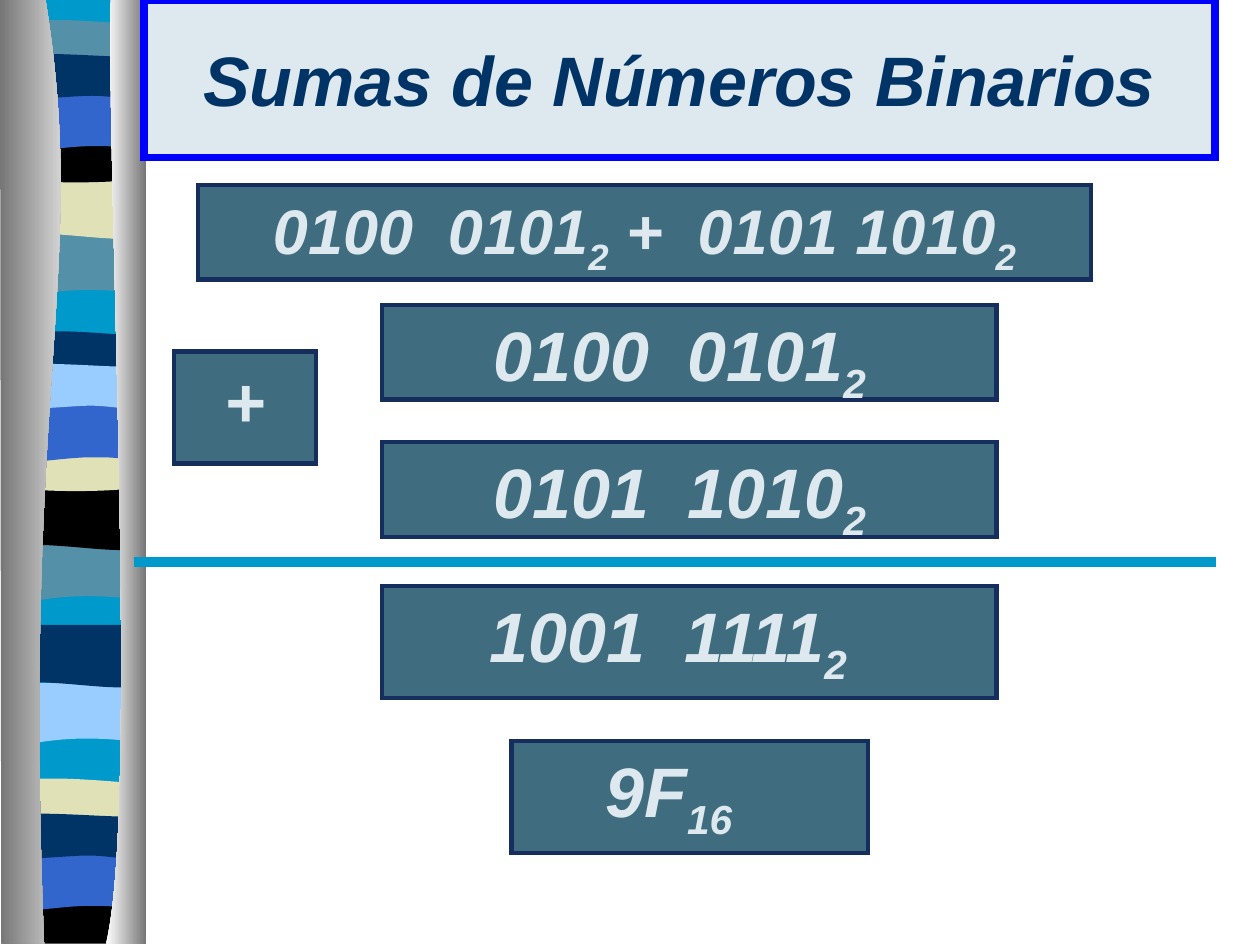
"""Build a slide that adds two binary numbers beside a striped ribbon."""
import pptx
import pptx.dml.color
import pptx.enum.shapes
import pptx.enum.text
import pptx.oxml.ns
import pptx.util
from lxml import etree

Inches = pptx.util.Inches
Pt = pptx.util.Pt
RGB = pptx.dml.color.RGBColor.from_string
qn = pptx.oxml.ns.qn

COLORS = {
    "sky": "0099CC", "teal": "5490A8", "sand": "E1E1B7", "black": "000000",
    "blue": "3366CC", "navy": "003366", "pale": "99CCFF", "white": "FFFFFF",
    "gray": "767676", "ice": "DDE9EE", "frame": "0000FF",
    "slate": "3F6C7E", "edge": "162E5D",
}


def write(shape, parts, size=40, color="ice", before=0, hanging=0):
    """Fill a shape with centred text; every second part is a subscript."""
    para = shape.text_frame.paragraphs[0]
    para.alignment = pptx.enum.text.PP_ALIGN.CENTER
    para.space_before = Pt(before)
    properties = para._p.get_or_add_pPr()
    properties.set("marL", str(Inches(hanging)))
    properties.set("indent", str(-Inches(hanging)))
    for index, text in enumerate(parts):
        span = para.add_run()
        span.text = text
        span.font.name = "Arial"
        span.font.size = Pt(size)
        span.font.bold = span.font.italic = True
        span.font.color.rgb = RGB(COLORS[color])
        if index % 2:
            span.font._element.set("baseline", "-25000")


def draw_outline(shapes, left, top, segments):
    """Draw a closed outline; pairs are corners and sixes are cubic curves."""
    corners = [(Inches(left + segment[i]), Inches(top + segment[i + 1]))
               for segment in segments for i in range(0, len(segment), 2)]
    builder = shapes.build_freeform(*corners[0], scale=1.0)
    builder.add_line_segments(corners[1:], close=True)
    outline = builder.convert_to_shape()
    steps = iter(list(outline.element.iter(qn("a:lnTo"))))
    for segment in segments[1:]:
        step = next(steps)
        if len(segment) == 6:
            step.addprevious(curve := etree.Element(qn("a:cubicBezTo")))
            for point in (step, next(steps), next(steps)):
                curve.append(point[0])
                point.getparent().remove(point)
    outline.shadow.inherit = False
    outline.line.fill.background()
    return outline


deck = pptx.Presentation()
deck.slide_width, deck.slide_height = Inches(10), Inches(7.5)
page = deck.slides.add_slide(deck.slide_layouts[5])
page.background.fill.solid()
page.background.fill.fore_color.rgb = RGB(COLORS["white"])

OUTLINES = {
    "panel": [(1.06, 0), (1.06, 7.48), (0, 7.48), (0, 0)],
    "swoosh": [(1.06, 0), (1.06, 0.47), (0.33, 0.38, 0.18, 0.54, 0, 0.47), (0, 0)],
    "block": [(1.06, 0), (1.06, 0.47), (0.89, 0.55, 0.33, 0.41, 0, 0.47), (0, 0)],
    "lens": [(1.06, 0.05), (1.06, 0.3), (0.89, 0.34, 0.18, 0.34, 0, 0.3), (0, 0.05),
             (0.07, 0, 0.24, 0.01, 0.41, 0.01), (0.59, 0.01, 0.93, 0.04, 1.06, 0.05)],
    "sag": [(1.06, 0), (1.06, 0.33), (0.89, 0.38, 0.18, 0.38, 0, 0.33), (0, 0),
            (0.66, 0.05, 0.84, 0, 1.06, 0)],
    "arch": [(1.06, 0), (1.06, 0.47), (0.89, 0.42, 0.83, 0.42, 0.65, 0.42),
             (0.47, 0.42, 0.16, 0.47, 0, 0.47), (0, 0)],
    "wave": [(1.06, 0.05), (1.06, 0.36), (0.99, 0.41, 0.83, 0.36, 0.65, 0.36),
             (0.47, 0.36, 0.11, 0.41, 0, 0.36), (0, 0.05),
             (0.15, 0, 0.72, 0.05, 0.9, 0.05), (1.07, 0.05, 1.02, 0.05, 1.06, 0.05)],
    "foot": [(1.06, 0), (1.06, 0.37), (0, 0.37), (0, 0), (0.66, 0.05, 0.84, 0, 1.06, 0)],
}
STRIPES = [
    ("panel", 0.08, -0.01, "sky"),
    ("swoosh", 0.07, 1.86, "teal"), ("block", 0.08, 1.4, "sand"),
    ("lens", 0.08, 0.15, "teal"), ("sag", 0.07, 1.08, "black"),
    ("arch", 0.08, 0.74, "blue"), ("wave", 0.08, 0.4, "navy"),
    ("swoosh", 0.06, 4.29, "teal"), ("block", 0.07, 3.87, "black"),
    ("lens", 0.07, 2.62, "navy"), ("sag", 0.07, 3.53, "sand"),
    ("arch", 0.07, 3.21, "blue"), ("wave", 0.07, 2.86, "pale"),
    ("swoosh", 0.05, 5.42, "pale"), ("block", 0.06, 4.96, "navy"),
    ("lens", 0.06, 6.17, "sand"), ("foot", 0.06, 7.12, "black"),
    ("arch", 0.05, 6.77, "blue"), ("wave", 0.05, 6.43, "navy"),
]
ribbon = page.shapes.add_group_shape()
for name, left, top, color in STRIPES:
    stripe = draw_outline(ribbon.shapes, left, top, OUTLINES[name])
    stripe.fill.solid()
    stripe.fill.fore_color.rgb = RGB(COLORS[color])

DRAPES = [
    ([(0.36, -0.01), (0.71, 2.16, 0.17, 2.96, 0.35, 7.49), (0.01, 7.49), (0, -0.01)],
     ("gray", "white")),
    ([(0.88, -0.01), (0.84, 1.25, 1.11, 6.46, 0.84, 7.49), (1.16, 7.49), (1.16, 0)],
     ("white", "gray")),
]
for segments, shades in DRAPES:
    drape = draw_outline(ribbon.shapes, 0, 0, segments)
    drape.fill.gradient()
    drape.fill.gradient_angle = 0
    for stop, shade in zip(drape.fill.gradient_stops, shades):
        stop.color.rgb = RGB(COLORS[shade])

title = page.shapes.title
page.shapes.element.append(title.element)
title.left, title.top, title.width, title.height = map(Inches, (1.14, 0, 8.5, 1.25))
title.text_frame.vertical_anchor = pptx.enum.text.MSO_ANCHOR.MIDDLE
write(title, ["Sumas de Números Binarios"], color="navy")
panels = [(title, "ice", "frame", 4.5)]

BOXES = [
    (1.57, 1.47, 7.09, 0.75, 0.1, 36, ["0100  0101", "2", " +  0101 1010", "2"]),
    (3.03, 2.42, 4.88, 0.75, 0.25, 40, ["0100  0101", "2"]),
    (4.06, 5.88, 2.83, 0.89, 0.43, 40, ["9F", "16"]),
    (3.03, 3.51, 4.88, 0.75, 0.25, 40, ["0101  1010", "2"]),
    (3.03, 4.65, 4.88, 0.89, 0.43, 40, ["1001  1111", "2"]),
    (1.38, 2.79, 1.13, 0.89, 0.1, 40, ["+"]),
]
for left, top, width, height, right_margin, size, parts in BOXES:
    box = page.shapes.add_shape(pptx.enum.shapes.MSO_SHAPE.RECTANGLE,
                                *map(Inches, (left, top, width, height)))
    box.shadow.inherit = False
    box.text_frame.word_wrap = True
    box.text_frame.vertical_anchor = pptx.enum.text.MSO_ANCHOR.TOP
    box.text_frame.margin_right = Inches(right_margin)
    write(box, parts, size=size, before=size / 4, hanging=0.38)
    panels.append((box, "slate", "edge", 2.5))

for panel, fill, border, weight in panels:
    panel.fill.solid()
    panel.fill.fore_color.rgb = RGB(COLORS[fill])
    panel.line.color.rgb = RGB(COLORS[border])
    panel.line.width = Pt(weight)
    outline = panel.element.spPr.find(qn("a:ln"))
    etree.SubElement(outline, qn("a:miter"), lim="800000")

sum_line = page.shapes.add_connector(pptx.enum.shapes.MSO_CONNECTOR.STRAIGHT,
                                     *map(Inches, (1.06, 4.46, 9.65, 4.46)))
sum_line.line.color.rgb = RGB(COLORS["sky"])
sum_line.line.width = Pt(6)
etree.SubElement(sum_line.element.spPr, qn("a:effectLst"))

deck.save("out.pptx")
